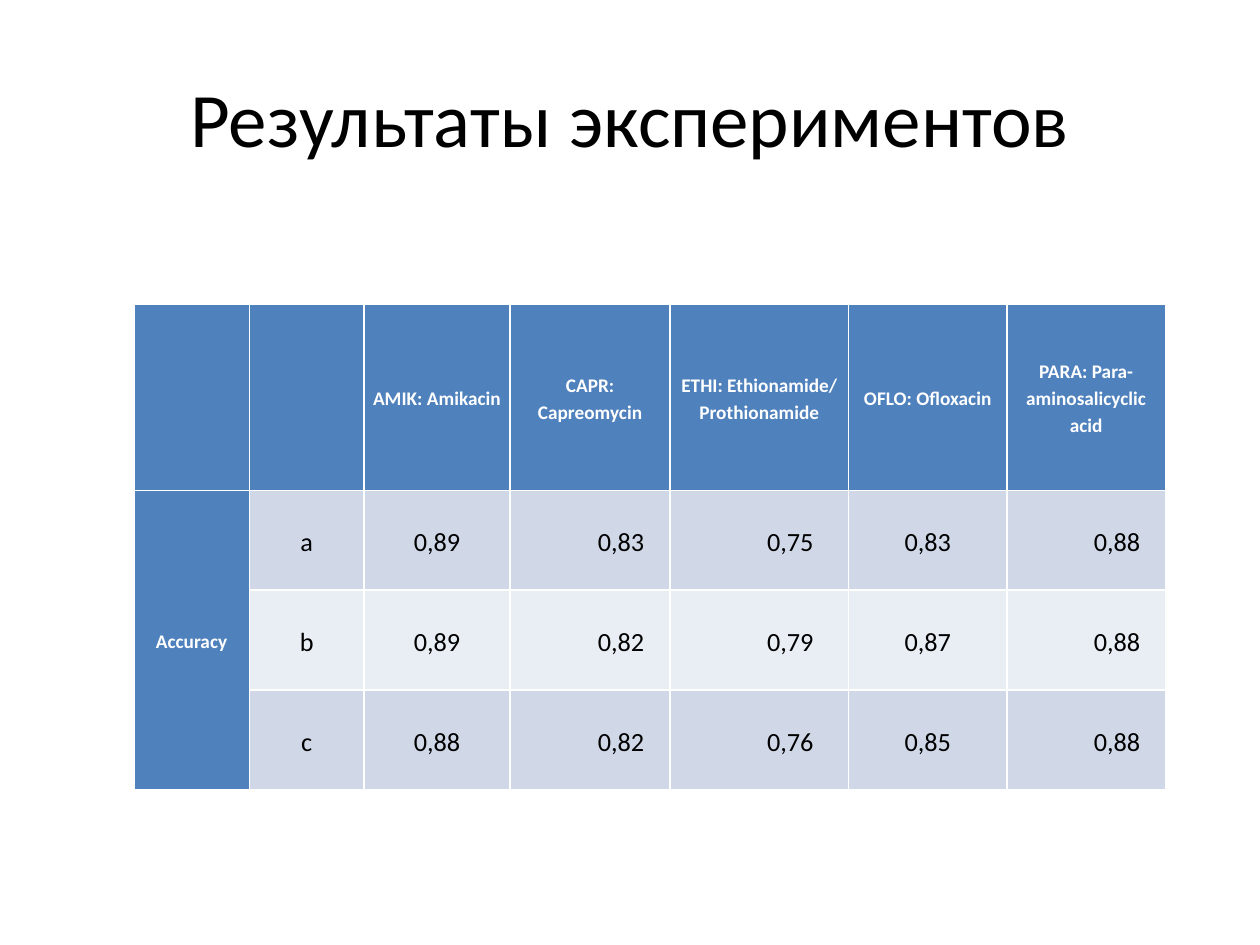
from pptx import Presentation
from pptx.dml.color import RGBColor
from pptx.enum.text import MSO_ANCHOR, PP_ALIGN
from pptx.util import Pt

COLORS = {"header": "4F81BD", "odd": "D0D8E8", "even": "E9EDF4",
          "light": "FFFFFF", "dark": "000000"}
FONT = "Calibri"
COL_WIDTHS = [66, 65.5, 83.5, 91.5, 102, 90.5, 90.5]
ROW_HEIGHTS = [106.5, 57, 57, 57]
INDENTED_COLS = {3, 4, 6}
ROWS = [
    ["", "", "AMIK: Amikacin", "CAPR: Capreomycin", "ETHI: Ethionamide/ Prothionamide",
     "OFLO: Ofloxacin", "PARA: Para-aminosalicyclic acid"],
    ["Accuracy", "a", "0,89", "0,83", "0,75", "0,83", "0,88"],
    ["", "b", "0,89", "0,82", "0,79", "0,87", "0,88"],
    ["", "c", "0,88", "0,82", "0,76", "0,85", "0,88"],
]


def style_font(p, size, color, bold=False):
    p.font.name = FONT
    p.font.size = Pt(size)
    p.font.bold = bold
    p.font.color.rgb = RGBColor.from_string(COLORS[color])


prs = Presentation()
prs.slide_width, prs.slide_height = Pt(720), Pt(540)
s = prs.slides.add_slide(prs.slide_layouts[5])

title = s.shapes.title
title.left, title.top, title.width, title.height = Pt(36), Pt(21.6), Pt(648), Pt(90)
title.text_frame.text = "Результаты экспериментов"
title.text_frame.vertical_anchor = MSO_ANCHOR.MIDDLE
p = title.text_frame.paragraphs[0]
p.alignment = PP_ALIGN.CENTER
style_font(p, 44, "dark")

# The default table style supplies the white grid and the thick rule under the header.
table = s.shapes.add_table(len(ROWS), len(COL_WIDTHS), Pt(76.5), Pt(173.75),
                           Pt(sum(COL_WIDTHS)), Pt(sum(ROW_HEIGHTS))).table
table.first_col = True
for column, width in zip(table.columns, COL_WIDTHS):
    column.width = Pt(width)
for row, height in zip(table.rows, ROW_HEIGHTS):
    row.height = Pt(height)
table.cell(1, 0).merge(table.cell(3, 0))

for i, row in enumerate(ROWS):
    for j, text in enumerate(row):
        cell = table.cell(i, j)
        is_header = i == 0 or j == 0
        fill = "header" if is_header else "odd" if i % 2 else "even"
        cell.fill.solid()
        cell.fill.fore_color.rgb = RGBColor.from_string(COLORS[fill])
        cell.vertical_anchor = MSO_ANCHOR.MIDDLE
        cell.margin_left = cell.margin_right = Pt(5)
        cell.margin_top = cell.margin_bottom = Pt(0)
        if not text:
            continue
        cell.text = text
        p = cell.text_frame.paragraphs[0]
        p.alignment = PP_ALIGN.CENTER
        p.line_spacing = 1.15
        if is_header:
            style_font(p, 11, "light", bold=True)
        else:
            style_font(p, 15, "dark")
            if j in INDENTED_COLS:
                p._p.get_or_add_pPr().set("indent", str(Pt(35.4)))

prs.save("out.pptx")
